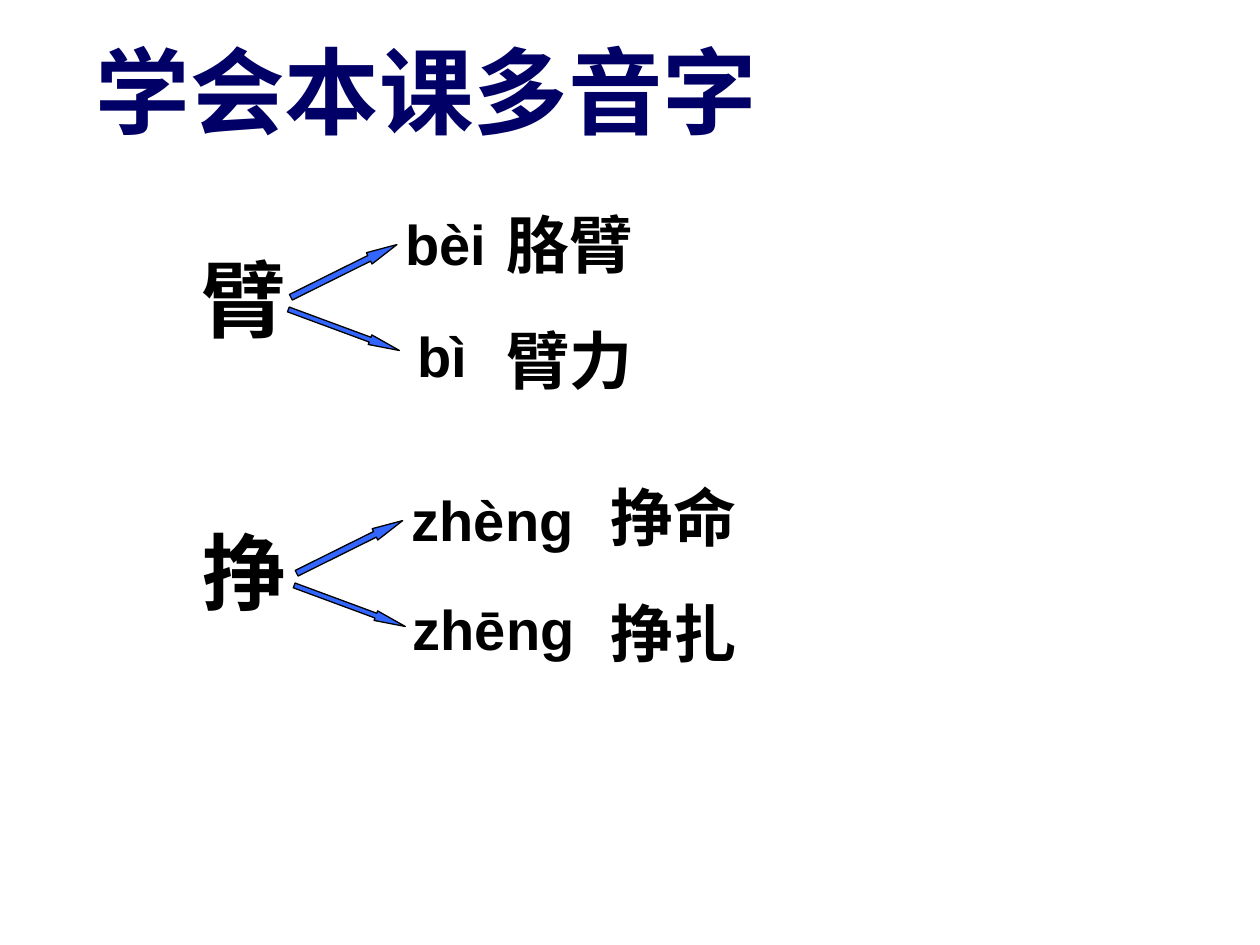
from dataclasses import dataclass

from lxml import etree
from pptx import Presentation
from pptx.dml.color import RGBColor
from pptx.enum.shapes import MSO_SHAPE
from pptx.enum.text import MSO_ANCHOR, MSO_AUTO_SIZE, PP_ALIGN
from pptx.oxml.ns import qn
from pptx.util import Pt

ARROW = MSO_SHAPE.RIGHT_ARROW
TOP = MSO_ANCHOR.TOP
GROW = MSO_AUTO_SIZE.SHAPE_TO_FIT_TEXT
LEFT, CENTER = PP_ALIGN.LEFT, PP_ALIGN.CENTER

COLORS = {"title": "000066", "text": "000000", "arrow": "3366FF"}
LATIN, HAN = "Arial", "Noto Sans CJK SC"
TITLE_ONLY = 5


@dataclass
class Label:
    text: str
    left: float
    top: float
    width: float
    height: float
    size: float
    font: str = LATIN
    align: PP_ALIGN = LEFT


@dataclass
class Group:
    """One character, the start of its arrows, and its readings and words."""
    char: Label
    left: float
    top: float
    labels: list


GROUPS = [
    Group(Label("臂", 108, 138.2, 51.8, 64.8, 48, HAN, CENTER), 162.7, 151.2, [
        Label("bì", 216, 180, 73.4, 46, 32, align=CENTER),
        Label("bèi", 224.6, 115.9, 73.4, 46, 32),
        Label("胳臂", 282.2, 113.8, 120.2, 50.4, 36, HAN),
        Label("臂力", 282.2, 180, 108.7, 50.4, 36),
    ]),
    Group(Label("挣", 108, 293.8, 64, 64.8, 48, HAN, CENTER), 166, 308.9, [
        Label("zhēng", 228.2, 336.2, 108, 46, 32, align=CENTER),
        Label("zhèng", 228.2, 273.6, 126, 46, 32),
        Label("挣命", 342, 270, 149.8, 50.4, 36, HAN),
        Label("挣扎", 342, 336.2, 232.6, 50.4, 36, HAN),
    ]),
]


def write(shape, text: str, *, size: float, font: str = LATIN,
          color: str = "text", align: PP_ALIGN = LEFT) -> None:
    frame = shape.text_frame
    frame.word_wrap = True
    frame.auto_size = GROW
    frame.vertical_anchor = TOP
    para = frame.paragraphs[0]
    para.alignment = align
    run = para.add_run()
    run.text = text
    run.font.size = Pt(size)
    run.font.bold = True
    run.font.color.rgb = RGBColor.from_string(COLORS[color])
    run.font.name = font
    # East Asian typeface sits right after the Latin one
    latin = run.font._element.find(qn("a:latin"))
    east = etree.Element(qn("a:ea"), typeface=HAN)
    latin.addnext(east)


def label(slide, item: Label) -> None:
    box = slide.shapes.add_textbox(
        Pt(item.left), Pt(item.top), Pt(item.width), Pt(item.height))
    write(box, item.text, size=item.size, font=item.font, align=item.align)


def arrow(slide, left: float, top: float, height: float,
          angle: float, head: float) -> None:
    shape = slide.shapes.add_shape(
        ARROW, Pt(left), Pt(top), Pt(67.7), Pt(height))
    shape.rotation = angle
    shape.adjustments[0] = 0.5
    shape.adjustments[1] = head
    shape.shadow.inherit = False
    shape.fill.solid()
    shape.fill.fore_color.rgb = RGBColor.from_string(COLORS["arrow"])
    shape.line.color.rgb = RGBColor.from_string(COLORS["text"])
    shape.line.width = Pt(0.75)


def main() -> None:
    deck = Presentation()
    deck.slide_width, deck.slide_height = Pt(720), Pt(540)
    slide = deck.slides.add_slide(deck.slide_layouts[TITLE_ONLY])

    # Title
    title = slide.shapes.title
    title.left, title.top = Pt(19.4), Pt(15.1)
    title.width, title.height = Pt(448.6), Pt(72)
    write(title, "学会本课多音字", size=54, color="title", align=CENTER)

    # Each character branches up and down to its two readings
    for group in GROUPS:
        label(slide, group.char)
        arrow(slide, group.left, group.top, 7.2, 333.6, 2.46)
        arrow(slide, group.left, group.top + 34.5, 5.8, 20.3, 3.08)
        for item in group.labels:
            label(slide, item)

    deck.save("out.pptx")


if __name__ == "__main__":
    main()
